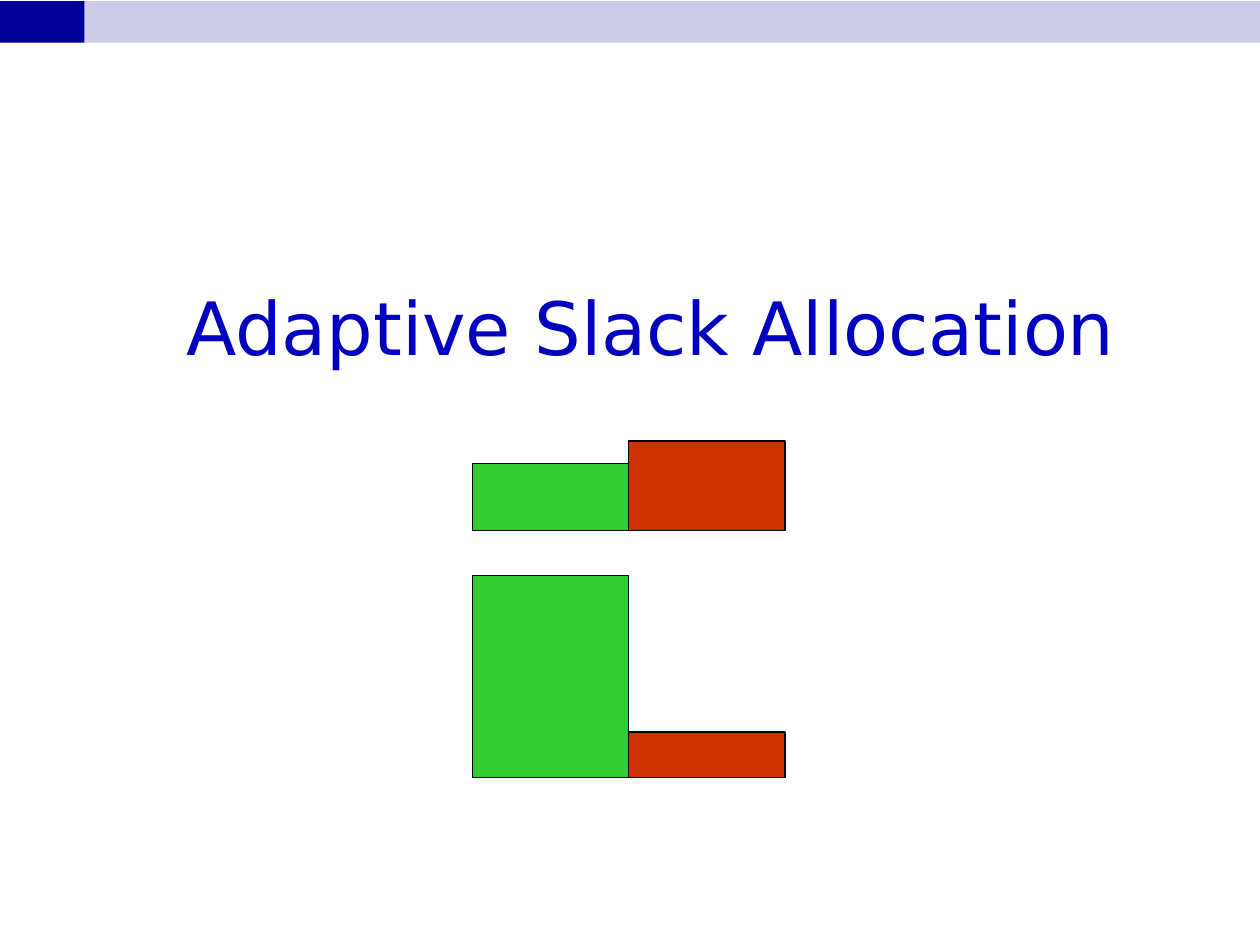
"""Build the "Adaptive Slack Allocation" section slide."""
from dataclasses import dataclass

from pptx import Presentation
from pptx.dml.color import RGBColor
from pptx.enum import shapes, text
from pptx.util import Inches, Pt


@dataclass(frozen=True)
class Theme:
    band: str = "CCCCE6"
    corner: str = "000099"
    title: str = "0000BE"
    green: str = "33CC33"
    red: str = "CC3300"
    outline: str = "000000"
    font: str = "DejaVu Sans"
    title_size: int = 42
    outline_width: float = 0.75


theme = Theme()


def add_rectangle(parent, left, top, width, height, fill, outline=None):
    shape = parent.add_shape(
        shapes.MSO_SHAPE.RECTANGLE, Inches(left), Inches(top), Inches(width), Inches(height)
    )
    shape.shadow.inherit = False
    shape.fill.solid()
    shape.fill.fore_color.rgb = RGBColor.from_string(fill)
    if outline:
        shape.line.color.rgb = RGBColor.from_string(outline)
        shape.line.width = Pt(theme.outline_width)
    else:
        shape.line.fill.background()


presentation = Presentation()
presentation.slide_width = Inches(10)
presentation.slide_height = Inches(7.5)
slide = presentation.slides.add_slide(presentation.slide_layouts[5])

for width, fill in ((10, theme.band), (0.67, theme.corner)):
    add_rectangle(slide.shapes, 0, 0.01, width, 0.33, fill)

title = slide.shapes.title
title.left, title.top = Inches(0.5), Inches(0.75)
title.width, title.height = Inches(9.33), Inches(3.67)
frame = title.text_frame
frame.text = "Adaptive Slack Allocation"
frame.word_wrap = True
frame.auto_size = text.MSO_AUTO_SIZE.NONE
frame.vertical_anchor = text.MSO_ANCHOR.MIDDLE
paragraph = frame.paragraphs[0]
paragraph.alignment = text.PP_ALIGN.CENTER
paragraph.font.name = theme.font
paragraph.font.size = Pt(theme.title_size)
paragraph.font.color.rgb = RGBColor.from_string(theme.title)

block_left, block_width = 3.75, 1.24
allocations = ((4.21, 0.53, 0.71), (6.17, 1.6, 0.36))
group = slide.shapes.add_group_shape()
for baseline, *heights in allocations:
    for column, (height, fill) in enumerate(zip(heights, (theme.green, theme.red))):
        add_rectangle(
            group.shapes, block_left + column * block_width, baseline - height,
            block_width, height, fill, theme.outline,
        )

presentation.save("out.pptx")
